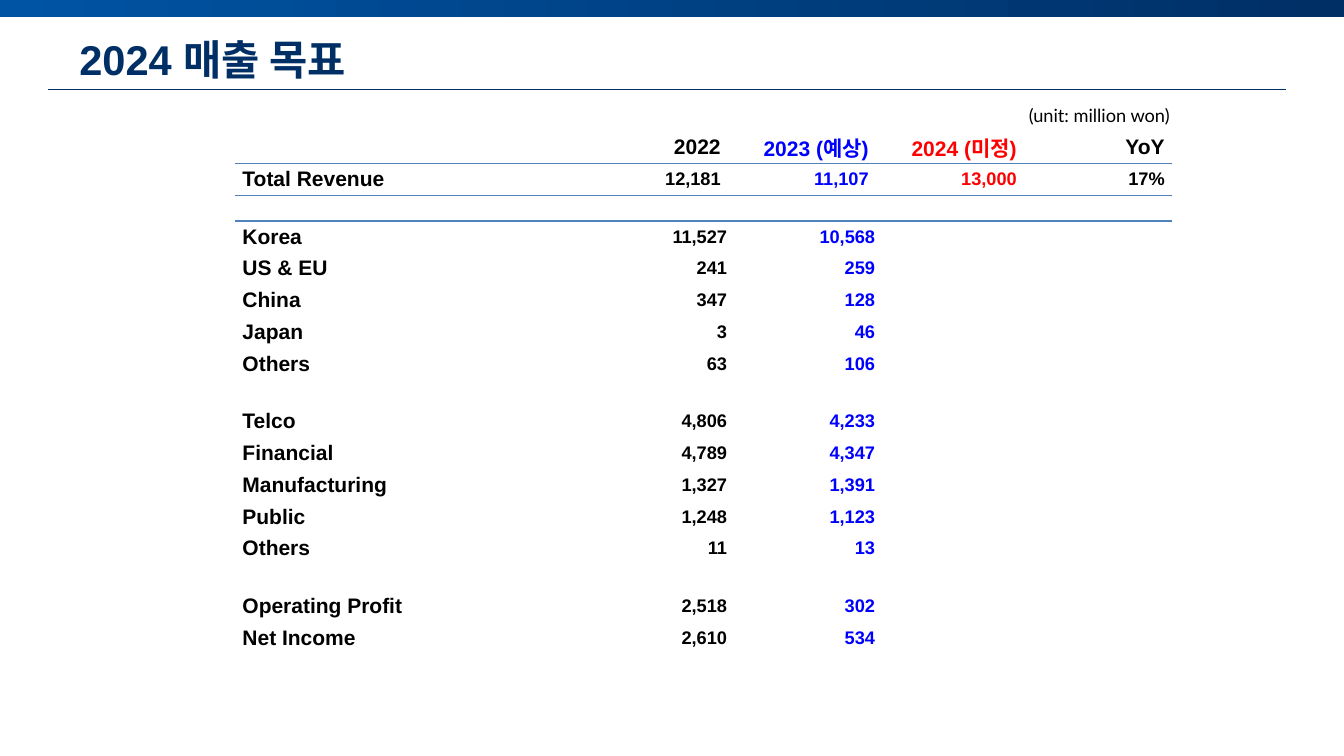
from lxml.etree import SubElement
from pptx import Presentation
from pptx.dml.color import RGBColor
from pptx.enum.shapes import MSO_CONNECTOR as Connector, MSO_SHAPE as Shape
from pptx.enum.text import MSO_ANCHOR as Anchor, PP_ALIGN as Align
from pptx.oxml import parse_xml
from pptx.oxml.ns import nsdecls, qn
from pptx.util import Cm, Pt

TITLE = "2024 매출 목표"
UNIT = "(unit: million won)"
ROWS = [
    ("", "2022", "2023 (예상)", "2024 (미정)", "YoY"),
    ("Total Revenue", "12,181", "11,107", "13,000", "17%"),
    (),
    ("Korea", "11,527", "10,568"),
    ("US & EU", "241", "259"),
    ("China", "347", "128"),
    ("Japan", "3", "46"),
    ("Others", "63", "106"),
    (),
    ("Telco", "4,806", "4,233"),
    ("Financial", "4,789", "4,347"),
    ("Manufacturing", "1,327", "1,391"),
    ("Public", "1,248", "1,123"),
    ("Others", "11", "13"),
    (),
    ("Operating Profit", "2,518", "302"),
    ("Net Income", "2,610", "534"),
    (),
    ("",),
]
COLORS = {"navy": "002F65", "blue": "0054A4", "rule": "4F81BD",
          "black": "000000", "expected": "0000FF", "open": "FF0000"}
COLUMN_COLORS = ["black", "black", "expected", "open", "black"]
COLUMN_WIDTHS = [8.68] + [3.73] * 4
ROW_HEIGHT, GAP_HEIGHT = 0.8, 0.65
PLAIN_STYLE = "{2D5ABB26-0587-4C30-8999-92F81FD0307C}"


def color(name):
    return RGBColor.from_string(COLORS[name])


def format_text(para, size, name, font="Arial", bold=True):
    for span in para.runs:
        span.font.size = Pt(size)
        span.font.name = font
        span.font.bold = bold
        span.font.color.rgb = color(name)


def add_borders(cell, sides):
    props = cell._tc.get_or_add_tcPr()
    for place, side in enumerate(sides):
        props.insert(place, parse_xml(
            f'<a:ln{side} {nsdecls("a")} w="12700"><a:solidFill>'
            f'<a:srgbClr val="{COLORS["rule"]}"/></a:solidFill></a:ln{side}>'))


def fill_cell(cell, text, row, column):
    heading = row < 2
    number = column > 0
    inset = 0.02 if number and not heading else 0.18
    cell.margin_left = cell.margin_right = Cm(inset)
    cell.margin_top = cell.margin_bottom = 0
    cell.vertical_anchor = Anchor.MIDDLE
    cell.fill.background()
    para = cell.text_frame.paragraphs[0]
    if text:
        para.text = text
        para.alignment = Align.RIGHT if number else Align.LEFT
        format_text(para, 13 if number and row else 15, COLUMN_COLORS[column])
    else:
        SubElement(para._p, qn("a:endParaRPr"), sz="1000")
    add_borders(cell, {0: "B", 1: "TB", 2: "T"}.get(row, ""))


def add_table(slide):
    heights = [ROW_HEIGHT if row else GAP_HEIGHT for row in ROWS]
    frame = slide.shapes.add_table(
        len(ROWS), len(COLUMN_WIDTHS), Cm(5.93), Cm(3.32),
        Cm(sum(COLUMN_WIDTHS)), Cm(sum(heights)))
    table = frame.table
    table.first_row = table.horz_banding = False
    table._tbl.tblPr.find(qn("a:tableStyleId")).text = PLAIN_STYLE
    for column, width in zip(table.columns, COLUMN_WIDTHS):
        column.width = Cm(width)
    for row, (values, height) in enumerate(zip(ROWS, heights)):
        table.rows[row].height = Cm(height)
        for column in range(len(COLUMN_WIDTHS)):
            text = values[column] if column < len(values) else ""
            fill_cell(table.cell(row, column), text, row, column)


def add_header(slide, width):
    band = slide.shapes.add_shape(Shape.RECTANGLE, 0, 0, width, Cm(0.43))
    band.shadow.inherit = False
    band.line.fill.background()
    band.fill.gradient()
    band.fill.gradient_angle = 0
    for stop, name, position in zip(band.fill.gradient_stops, ("blue", "navy"), (0, 1)):
        stop.color.rgb = color(name)
        stop.position = position

    rule = slide.shapes.add_connector(
        Connector.STRAIGHT, Cm(1.2), Cm(2.26), Cm(32.4), Cm(2.26))
    rule.line.color.rgb = color("navy")
    rule.line.width = Pt(0.5)
    SubElement(rule._element.spPr, qn("a:effectLst"))

    title = slide.shapes.title
    title.left, title.top, title.width, title.height = Cm(1.7), Cm(0.76), Cm(30.48), Cm(1.47)
    frame = title.text_frame
    frame.text = TITLE
    frame.vertical_anchor = Anchor.MIDDLE
    frame.margin_left = frame.margin_right = Cm(0.3)
    frame.margin_top = frame.margin_bottom = Cm(0.15)
    frame.paragraphs[0].alignment = Align.LEFT
    format_text(frame.paragraphs[0], 29.7, "navy")


def add_unit(slide):
    box = slide.shapes.add_textbox(Cm(25.68), Cm(2.51), Cm(4.29), Cm(0.81))
    box.text_frame.word_wrap = False
    box.text_frame.text = UNIT
    format_text(box.text_frame.paragraphs[0], 13, "black", "Lato", False)


def main():
    deck = Presentation()
    deck.slide_width, deck.slide_height = Cm(33.87), Cm(19.05)
    page = deck.slides.add_slide(deck.slide_layouts[5])
    add_header(page, deck.slide_width)
    add_unit(page)
    add_table(page)
    deck.save("out.pptx")


if __name__ == "__main__":
    main()
